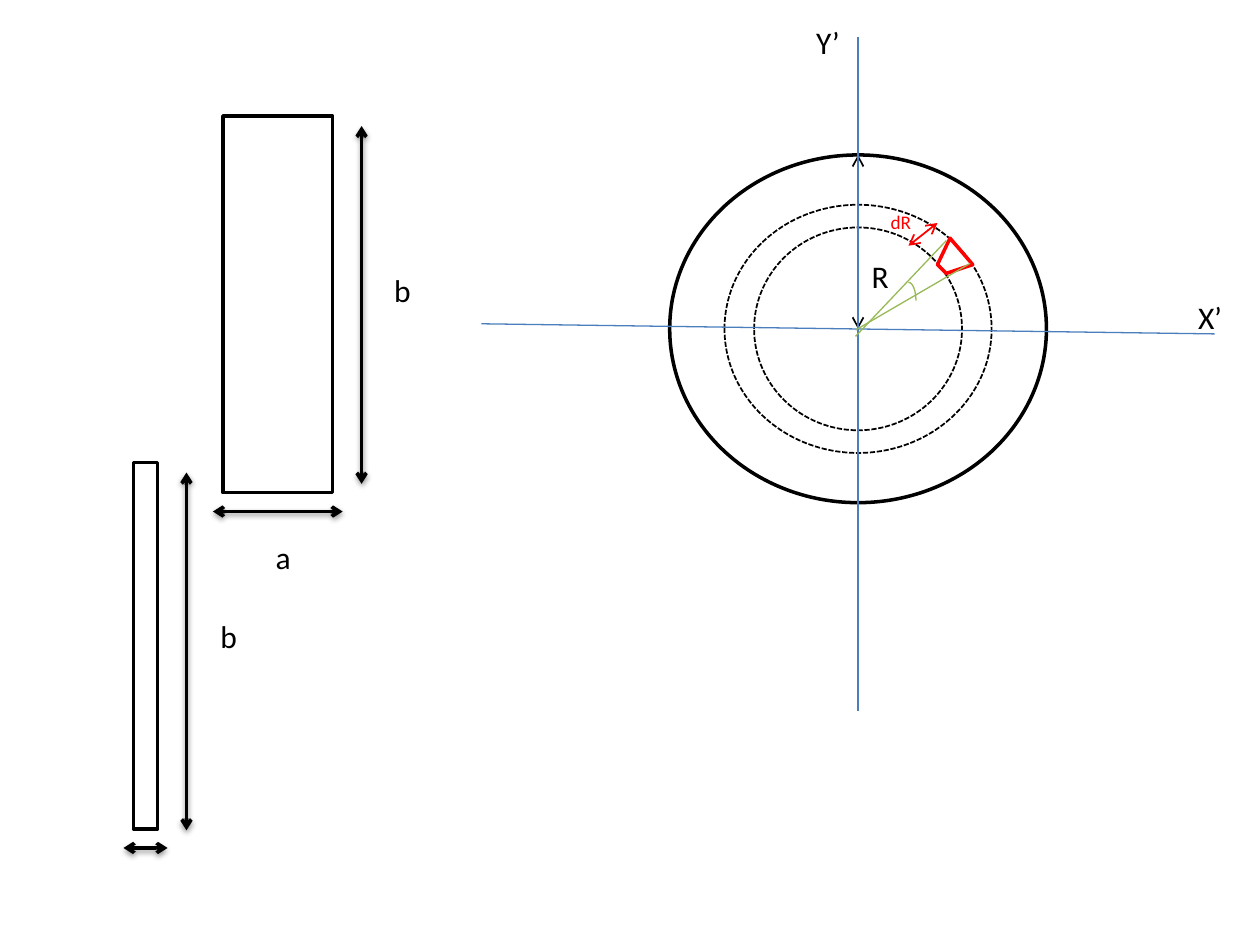
from lxml import etree
from pptx import Presentation
from pptx import util as u
from pptx.dml.color import RGBColor
from pptx.enum import dml, shapes, text
from pptx.oxml import ns

THEME = {
    "font": "Calibri", "label": 18, "small": 11,
    "ink": "000000", "accent": "FF0000", "axis": "4B7EBC", "ray": "98B955",
    "heavy": 2, "medium": 1, "thin": 0.75,
}

# left, top, width, height
BARS = [(1.77, 0.92, 0.87, 2.99), (1.06, 3.67, 0.19, 2.91)]
BAR_GAP, BAR_INSET, HEIGHT_ARROW, WIDTH_GAP = 0.23, 0.08, 2.84, 0.15

CENTRE = (6.81, 2.61)
# width, height, line weight, dashed
RINGS = [(2.99, 2.76, "heavy", False), (2.12, 1.97, "medium", True),
         (1.65, 1.61, "medium", True)]

# start, end, colour, weight, arrows at both ends
DISC_LINES = [
    (CENTRE, (6.81, 1.23), "ink", "medium", True),
    ((7.21, 1.95), (7.44, 1.77), "accent", "medium", True),
    ((3.82, 2.57), (9.64, 2.65), "axis", "thin", False),
    ((6.81, 5.64), (6.81, 0.29), "axis", "thin", False),
]
RAYS = [((6.79, 2.67), (7.51, 1.91), "ray", "thin", False),
        ((6.79, 2.62), (7.7, 2.09), "ray", "thin", False)]
ELEMENT = [(7.54, 1.89), (7.72, 2.1), (7.51, 2.17), (7.44, 2.1)]
ANGLE_ARC = (7.15, 2.24, 0.12, 0.29)

# words, left, top, width, height, size, colour
LABELS = [
    ("b", 3.03, 2.1, 0.55, 0.4, "label", "ink"),
    ("a", 2.09, 4.22, 0.47, 0.4, "label", "ink"),
    ("b", 1.65, 4.85, 0.55, 0.4, "label", "ink"),
    ("R", 6.82, 1.99, 0.35, 0.4, "label", "ink"),
    ("dR", 6.97, 1.62, 0.47, 0.29, "small", "accent"),
    ("Y’", 6.38, 0.13, 0.47, 0.4, "label", "ink"),
    ("X’", 9.41, 2.32, 0.39, 0.4, "label", "ink"),
]


def inches(values):
    return [u.Inches(value) for value in values]


def colour(name):
    return RGBColor.from_string(THEME[name])


def style_line(item, tint, weight):
    item.line.color.rgb = colour(tint)
    item.line.width = u.Pt(THEME[weight])


def add_outline(slide, kind, bounds, tint, weight, dashed=False):
    shape = slide.shapes.add_shape(kind, *inches(bounds))
    shape.shadow.inherit = False
    shape.fill.background()
    style_line(shape, tint, weight)
    if dashed:
        shape.line.dash_style = dml.MSO_LINE.SQUARE_DOT
    return shape


def add_line(slide, start, end, tint, weight, arrows, shadow=False):
    line = slide.shapes.add_connector(shapes.MSO_CONNECTOR.STRAIGHT,
                                      *inches((*start, *end)))
    style_line(line, tint, weight)
    if arrows:
        stroke = line.line._get_or_add_ln()
        for tip in ("a:headEnd", "a:tailEnd"):
            etree.SubElement(stroke, ns.qn(tip), type="arrow")
    effects = etree.SubElement(line._element.spPr, ns.qn("a:effectLst"))
    if shadow:
        outer = etree.SubElement(
            effects, ns.qn("a:outerShdw"), blurRad=str(u.Pt(3.1)),
            dist=str(u.Pt(1.6)), dir="5400000", rotWithShape="0")
        black = etree.SubElement(outer, ns.qn("a:srgbClr"), val=THEME["ink"])
        etree.SubElement(black, ns.qn("a:alpha"), val="38000")


def add_bar(slide, left, top, width, height):
    """Draw a bar with its height arrow on the right and width arrow below."""
    add_outline(slide, shapes.MSO_SHAPE.RECTANGLE, (left, top, width, height),
                "ink", "heavy")
    right = left + width
    side, start = right + BAR_GAP, top + BAR_INSET
    below = top + height + WIDTH_GAP
    for first, last in [((side, start), (side, start + HEIGHT_ARROW)),
                        ((left - BAR_INSET, below), (right + BAR_INSET, below))]:
        add_line(slide, first, last, "ink", "heavy", True, shadow=True)


def add_element(slide):
    """Outline the small area element between the dashed rings."""
    points = [inches(point) for point in ELEMENT]
    builder = slide.shapes.build_freeform(*points[0])
    builder.add_line_segments(points[1:], close=True)
    shape = builder.convert_to_shape()
    shape.shadow.inherit = False
    shape.fill.background()
    style_line(shape, "accent", "heavy")


def add_label(slide, words, left, top, width, height, size, tint):
    box = slide.shapes.add_textbox(*inches((left, top, width, height)))
    frame = box.text_frame
    frame.word_wrap = True
    frame.auto_size = text.MSO_AUTO_SIZE.SHAPE_TO_FIT_TEXT
    span = frame.paragraphs[0].add_run()
    span.text = words
    span.font.name = THEME["font"]
    span.font.size = u.Pt(THEME[size])
    span.font.color.rgb = colour(tint)


def main():
    deck = Presentation()
    deck.slide_width, deck.slide_height = inches((10, 7.5))
    slide = deck.slides.add_slide(deck.slide_layouts[6])
    for bar in BARS:
        add_bar(slide, *bar)
    for width, height, weight, dashed in RINGS:
        bounds = (CENTRE[0] - width / 2, CENTRE[1] - height / 2, width, height)
        add_outline(slide, shapes.MSO_SHAPE.OVAL, bounds, "ink", weight, dashed)
    for line in DISC_LINES:
        add_line(slide, *line)
    add_element(slide)
    for ray in RAYS:
        add_line(slide, *ray)
    add_outline(slide, shapes.MSO_SHAPE.ARC, ANGLE_ARC, "ray", "thin")
    for label in LABELS:
        add_label(slide, *label)
    deck.save("out.pptx")


if __name__ == "__main__":
    main()
